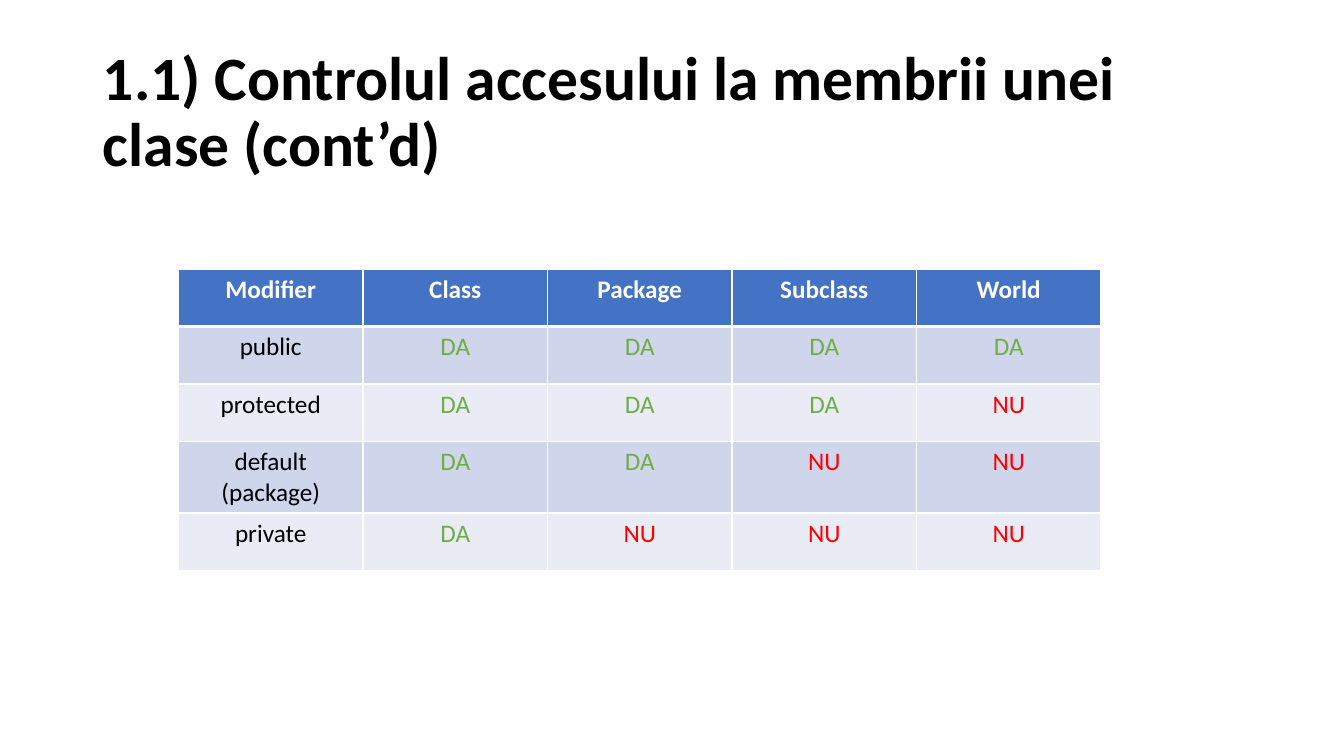
from dataclasses import dataclass

from lxml.etree import SubElement
from pptx import Presentation
from pptx.dml.color import RGBColor
from pptx.enum.text import MSO_ANCHOR, MSO_AUTO_SIZE, PP_ALIGN
from pptx.oxml.ns import qn
from pptx.util import Inches, Pt


@dataclass(frozen=True)
class Theme:
    font: str = "Calibri"
    title_size: int = 44
    table_size: int = 18
    ink: str = "000000"
    paper: str = "FFFFFF"
    header: str = "4472C4"
    bands: tuple[str, str] = ("CFD5EA", "E9EBF5")
    allowed: str = "70AD47"
    denied: str = "FF0000"
    rule: int = 1
    header_rule: int = 3


@dataclass(frozen=True)
class Access:
    modifier: str
    reach: int  # how many scopes, from the innermost outwards, have access


THEME = Theme()
SCOPES = ["Class", "Package", "Subclass", "World"]
LEVELS = [Access("public", 4), Access("protected", 3),
          Access("default (package)", 2), Access("private", 1)]
COLUMN, ROW = Inches(1.83), Inches(0.57)


def write(frame, text: str, *, size: int, color: str, bold: bool = False,
          align=PP_ALIGN.LEFT, spacing: float = 1.0) -> None:
    paragraph = frame.paragraphs[0]
    paragraph.alignment = align
    paragraph.line_spacing = spacing
    run = paragraph.add_run()
    run.text = text
    run.font.name = THEME.font
    run.font.size = Pt(size)
    run.font.bold = bold
    run.font.color.rgb = RGBColor.from_string(color)


def add_borders(cell, widths: dict[str, int]) -> None:
    properties = cell._tc.get_or_add_tcPr()
    for side, width in widths.items():
        line = SubElement(properties, qn(f"a:ln{side}"), w=str(Pt(width)))
        fill = SubElement(line, qn("a:solidFill"))
        SubElement(fill, qn("a:srgbClr"), val=THEME.paper)


def fill_cell(cell, text: str, *, row: int, color: str) -> None:
    top = THEME.header_rule if row == 1 else THEME.rule
    bottom = THEME.header_rule if row == 0 else THEME.rule
    add_borders(cell, {"L": THEME.rule, "R": THEME.rule, "T": top, "B": bottom})
    cell.fill.solid()
    background = THEME.bands[(row - 1) % 2] if row else THEME.header
    cell.fill.fore_color.rgb = RGBColor.from_string(background)
    write(cell.text_frame, text, size=THEME.table_size, color=color,
          bold=row == 0, align=PP_ALIGN.CENTER)


def access_row(level: Access) -> list[tuple[str, str]]:
    verdicts = [("DA", THEME.allowed) if scope < level.reach else ("NU", THEME.denied)
                for scope in range(len(SCOPES))]
    return [(level.modifier, THEME.ink), *verdicts]


presentation = Presentation()
presentation.slide_width, presentation.slide_height = Inches(13.33), Inches(7.5)
slide = presentation.slides.add_slide(presentation.slide_layouts[5])

# Title
heading = slide.shapes.title
heading.left, heading.top = Inches(0.92), Inches(0.4)
heading.width, heading.height = Inches(11.5), Inches(1.45)
heading.text_frame.word_wrap = True
heading.text_frame.auto_size = MSO_AUTO_SIZE.NONE
heading.text_frame.vertical_anchor = MSO_ANCHOR.MIDDLE
write(heading.text_frame, "1.1) Controlul accesului la membrii unei clase (cont’d)",
      size=THEME.title_size, color=THEME.ink, bold=True, spacing=0.9)

# Access table
header_row = [(label, THEME.paper) for label in ["Modifier", *SCOPES]]
access_rows = [header_row, *map(access_row, LEVELS)]
access_table = slide.shapes.add_table(
    len(access_rows), len(header_row), Inches(1.77), Inches(2.67),
    COLUMN * len(header_row), ROW * len(access_rows)).table
for row, entries in enumerate(access_rows):
    for column, (text, color) in enumerate(entries):
        fill_cell(access_table.cell(row, column), text, row=row, color=color)

presentation.save("out.pptx")
